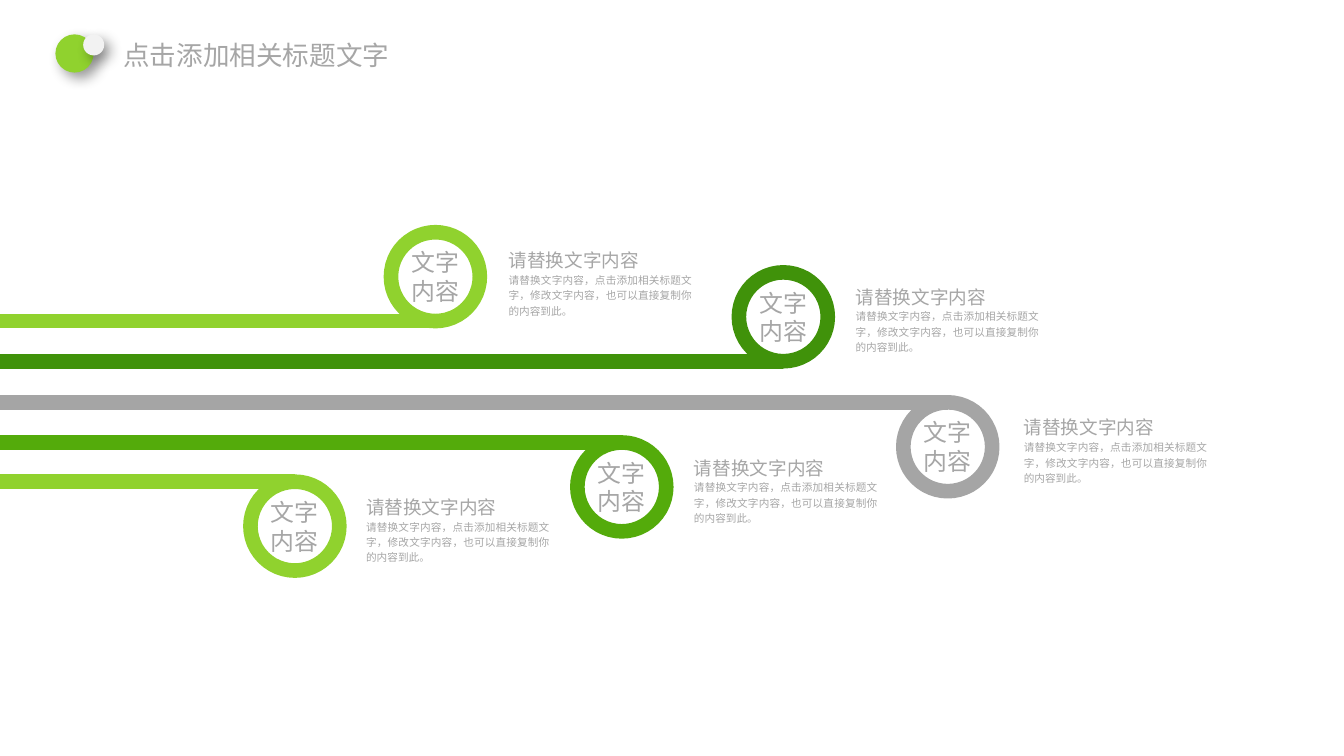
from pptx import Presentation
from pptx.dml.color import RGBColor
from pptx.enum.shapes import MSO_CONNECTOR, MSO_SHAPE
from pptx.enum.text import MSO_ANCHOR, MSO_AUTO_SIZE, PP_ALIGN
from pptx.oxml import parse_xml
from pptx.oxml.ns import nsdecls
from pptx.util import Inches, Pt
from lxml.etree import SubElement

LIME = RGBColor(0x90, 0xD2, 0x2E)
GREEN = RGBColor(0x54, 0xAB, 0x0B)
DARK = RGBColor(0x40, 0x92, 0x0A)
GRAY = RGBColor(0xA5, 0xA5, 0xA5)
TEXT = RGBColor(0xA6, 0xA6, 0xA6)
PALE = RGBColor(0xF2, 0xF2, 0xF2)
WHITE = RGBColor(0xFF, 0xFF, 0xFF)

RING = 0.93
HEAD = "请替换文字内容"
BODY = "请替换文字内容，点击添加相关标题文字，修改文字内容，也可以直接复制你的内容到此。"
SHADOW = f"""<a:effectLst {nsdecls("a")}>
  <a:outerShdw blurRad="{Pt(10)}" dist="{Pt(6)}" dir="2700000" algn="tl" rotWithShape="0">
    <a:srgbClr val="000000"><a:alpha val="40000"/></a:srgbClr>
  </a:outerShdw></a:effectLst>"""


class Painter:
    font = "Arial"
    width = Pt(11)

    def __init__(self, slide):
        self.slide = slide

    def fill_text(self, frame, words, size, align, space=None, inset=(0, 0)):
        frame.word_wrap = True
        frame.margin_left = frame.margin_right = Inches(inset[0])
        frame.margin_top = frame.margin_bottom = Inches(inset[1])
        para = frame.paragraphs[0]
        para.alignment = align
        if space:
            para.line_spacing = space
        run = para.add_run()
        run.text = words
        run.font.name = self.font
        run.font.size = Pt(size)
        run.font.color.rgb = TEXT

    def oval(self, left, top, size, fill):
        shape = self.slide.shapes.add_shape(
            MSO_SHAPE.OVAL, Inches(left), Inches(top), Inches(size), Inches(size))
        shape.shadow.inherit = False
        shape.fill.solid()
        shape.fill.fore_color.rgb = fill
        shape.line.fill.background()
        return shape

    def dot(self, left, top, size, fill):
        props = self.oval(left, top, size, fill).element.spPr
        props.remove(props.find("{*}effectLst"))
        props.append(parse_xml(SHADOW))

    def ring(self, left, top, color):
        shape = self.oval(left, top, RING, WHITE)
        shape.line.color.rgb = color
        shape.line.width = self.width
        shape.text_frame.vertical_anchor = MSO_ANCHOR.MIDDLE
        self.fill_text(shape.text_frame, "文字内容", 18, PP_ALIGN.CENTER)

    def track(self, end, y, color):
        line = self.slide.shapes.add_connector(
            MSO_CONNECTOR.STRAIGHT, Inches(end), Inches(y), Inches(0), Inches(y))
        line.line.color.rgb = color
        line.line.width = self.width
        SubElement(line.element.spPr, "{http://schemas.openxmlformats.org/drawingml/2006/main}effectLst")

    def box(self, left, top, width, height):
        return self.slide.shapes.add_textbox(
            Inches(left), Inches(top), Inches(width), Inches(height)).text_frame

    def label(self, left, top, width, height, words, size):
        frame = self.box(left, top, width, height)
        self.fill_text(frame, words, size, PP_ALIGN.JUSTIFY, space=1.2)
        frame.auto_size = MSO_AUTO_SIZE.SHAPE_TO_FIT_TEXT

    def title(self, left, top, width, height, words):
        frame = self.box(left, top, width, height)
        self.fill_text(frame, words, 20, PP_ALIGN.LEFT, inset=(0.11, 0.05))


def main():
    deck = Presentation()
    deck.slide_width, deck.slide_height = Inches(14.06), Inches(7.91)
    paint = Painter(deck.slides.add_slide(deck.slide_layouts[6]))

    # Heading with its two dots
    paint.dot(0.58, 0.36, 0.4, LIME)
    paint.title(1.18, 0.36, 3.35, 0.4, "点击添加相关标题文字")
    paint.dot(0.87, 0.36, 0.22, PALE)

    # Ring left and top, side the track meets (0 top, 1 bottom), label left and top
    stops = [
        (4.09, 2.43, 1, 5.32, 2.56, LIME),
        (7.73, 2.85, 1, 8.95, 2.94, DARK),
        (9.45, 4.21, 0, 10.71, 4.31, GRAY),
        (6.04, 4.63, 0, 7.26, 4.73, GREEN),
        (2.62, 5.04, 0, 3.83, 5.14, LIME),
    ]
    for left, top, side, x, y, color in stops:
        paint.ring(left, top, color)
        paint.track(left + RING / 2, top + side * RING, color)
        paint.label(x, y, 1.48, 0.28, HEAD, 14)
        paint.label(x, y + 0.28, 1.92, 0.5, BODY, 8)

    deck.save("out.pptx")


if __name__ == "__main__":
    main()
